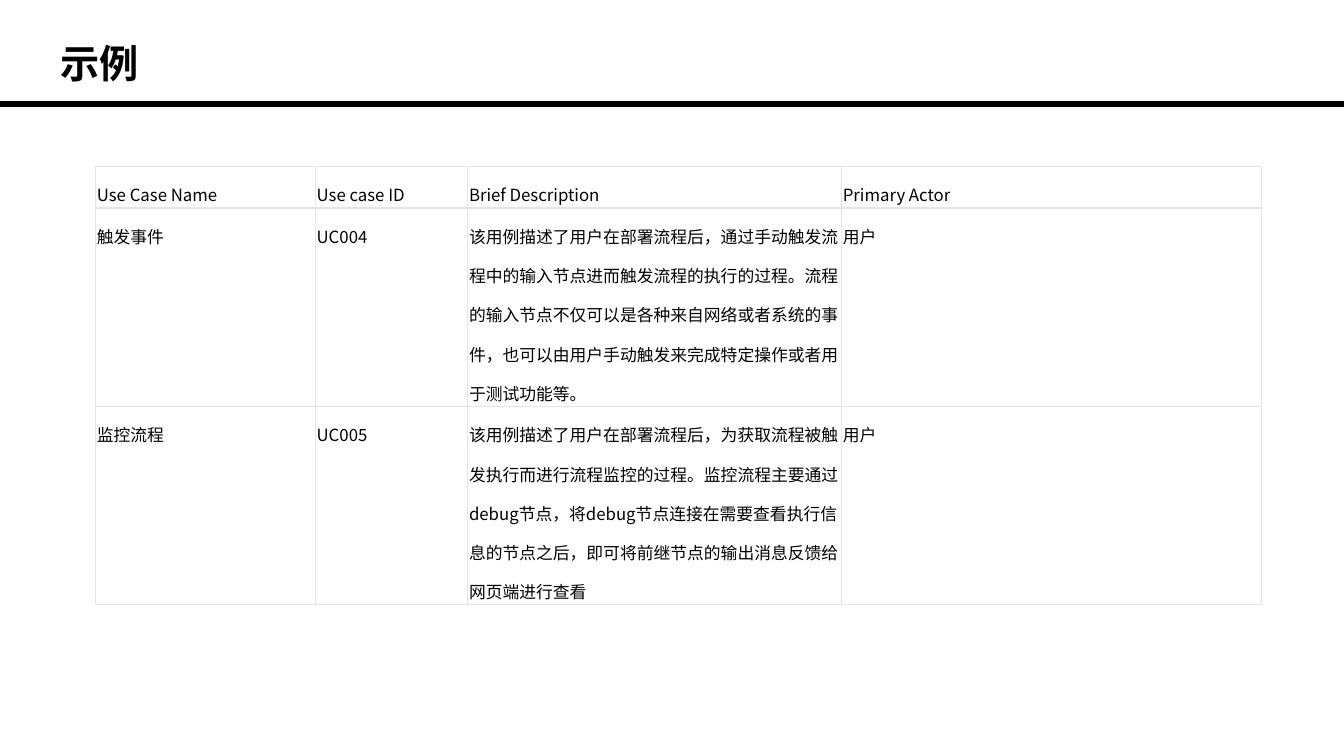
import pptx
import pptx.dml.color
import pptx.enum.shapes
import pptx.oxml.ns
import pptx.util
from lxml import etree

Cm, Pt = pptx.util.Cm, pptx.util.Pt
qn = pptx.oxml.ns.qn

FONT = "Noto Sans CJK SC"
COLORS = {"text": "000000", "rule": "000000", "grid": "E3E5EA", "paper": "FFFFFF"}

COLUMN_WIDTHS = [5.54, 3.84, 9.42, 10.59]
ROW_HEIGHT = 0.71
CELL_MARGIN = 0.03

USE_CASES = [
    ["Use Case Name", "Use case ID", "Brief Description", "Primary Actor"],
    ["触发事件", "UC004",
     "该用例描述了用户在部署流程后，通过手动触发流程中的输入节点进而触发流程的执行的过程。"
     "流程的输入节点不仅可以是各种来自网络或者系统的事件，"
     "也可以由用户手动触发来完成特定操作或者用于测试功能等。",
     "用户"],
    ["监控流程", "UC005",
     "该用例描述了用户在部署流程后，为获取流程被触发执行而进行流程监控的过程。"
     "监控流程主要通过debug节点，将debug节点连接在需要查看执行信息的节点之后，"
     "即可将前继节点的输出消息反馈给网页端进行查看",
     "用户"],
]


def rgb(name):
    return pptx.dml.color.RGBColor.from_string(COLORS[name])


def write_text(tf, text, size=12, bold=False, color="text", spacing=None):
    tf.word_wrap = True
    p = tf.paragraphs[0]
    if spacing:
        p.line_spacing = Pt(spacing)
    r = p.add_run()
    r.text = text
    r.font.size = Pt(size)
    r.font.bold = bold
    r.font.name = FONT
    r.font.color.rgb = rgb(color)
    etree.SubElement(r.font._element, qn("a:ea"), typeface=FONT)


def add_title(s, text):
    sp = s.shapes.add_textbox(Cm(1.27), Cm(0.86), Cm(8.76), Cm(1.45))
    write_text(sp.text_frame, text, size=28, bold=True)


def add_rule(s, y, width):
    line = s.shapes.add_connector(
        pptx.enum.shapes.MSO_CONNECTOR.STRAIGHT, 0, y, width, y)
    line.line.color.rgb = rgb("rule")
    line.line.width = Pt(4)
    etree.SubElement(line._element.spPr, qn("a:effectLst"))


def set_borders(cell, color, width):
    tc_pr = cell._tc.get_or_add_tcPr()
    for side in ("lnL", "lnR", "lnT", "lnB"):
        ln = etree.SubElement(tc_pr, qn("a:" + side), w=str(Pt(width)))
        fill = etree.SubElement(ln, qn("a:solidFill"))
        etree.SubElement(fill, qn("a:srgbClr"), val=COLORS[color])


def add_table(s, left, top, rows):
    frame = s.shapes.add_table(len(rows), len(COLUMN_WIDTHS), left, top,
                               Cm(sum(COLUMN_WIDTHS)), Cm(ROW_HEIGHT * len(rows)))
    table = frame.table
    table.first_row = table.horz_banding = False
    for column, width in zip(table.columns, COLUMN_WIDTHS):
        column.width = Cm(width)
    for i, texts in enumerate(rows):
        table.rows[i].height = Cm(ROW_HEIGHT)
        for j, text in enumerate(texts):
            cell = table.cell(i, j)
            cell.margin_left = cell.margin_right = Cm(CELL_MARGIN)
            cell.margin_top = cell.margin_bottom = Cm(CELL_MARGIN)
            set_borders(cell, "grid", 1)
            cell.fill.solid()
            cell.fill.fore_color.rgb = rgb("paper")
            write_text(cell.text_frame, text, spacing=28)


def main():
    prs = pptx.Presentation()
    prs.slide_width, prs.slide_height = Cm(33.87), Cm(19.05)
    s = prs.slides.add_slide(prs.slide_layouts[6])
    add_table(s, Cm(2.41), Cm(4.19), USE_CASES)
    add_title(s, "示例")
    add_rule(s, Cm(2.62), prs.slide_width)
    prs.save("out.pptx")


if __name__ == "__main__":
    main()
